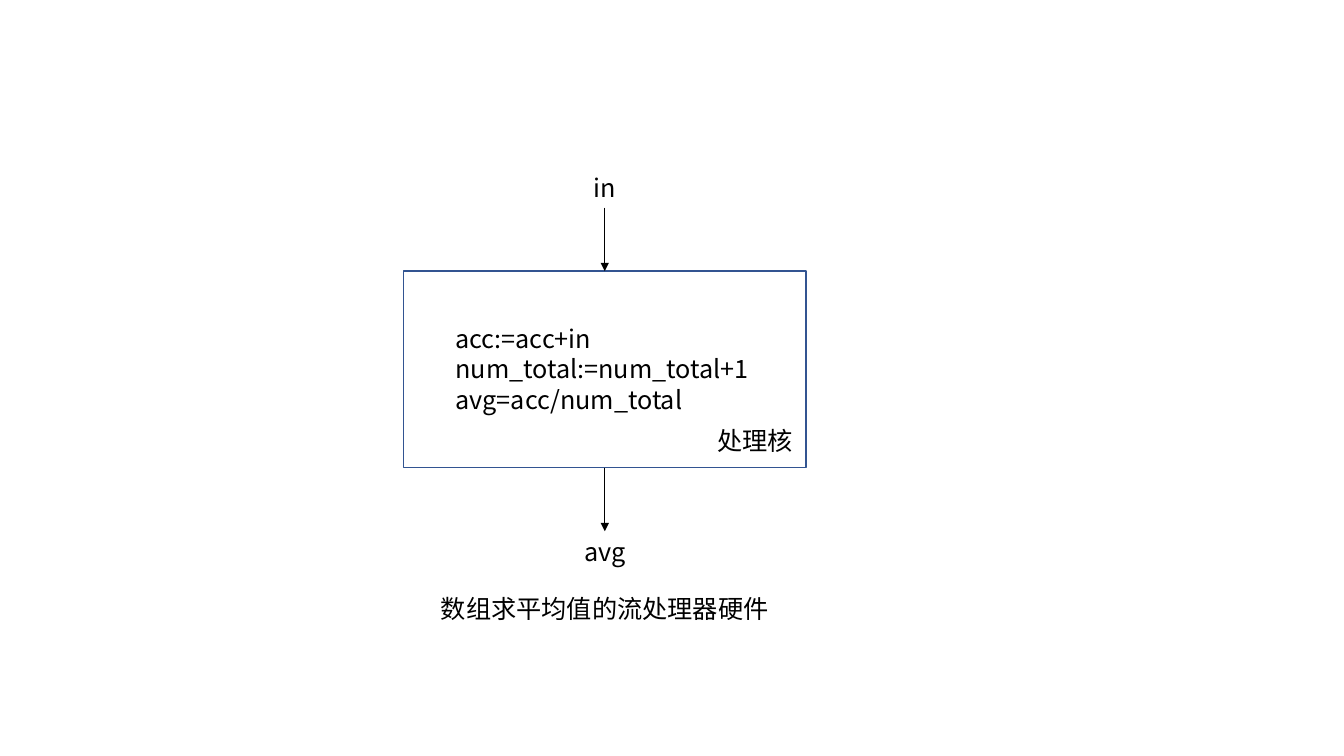
from lxml import etree
from pptx import Presentation
from pptx import util as u
from pptx.dml.color import RGBColor
from pptx.enum import shapes, text
from pptx.oxml.ns import qn

CODE = ["acc:=acc+in", "num_total:=num_total+1", "avg=acc/num_total"]
INPUT, OUTPUT = "in", "avg"
CORE_NAME = "处理核"
CAPTION = "数组求平均值的流处理器硬件"

FONT = "Noto Sans CJK SC"
BLACK = RGBColor(0x00, 0x00, 0x00)
WHITE = RGBColor(0xFF, 0xFF, 0xFF)
BLUE = RGBColor(0x32, 0x54, 0x91)

# Lengths in inches; everything is centred on the data flow axis.
PAGE_WIDTH, PAGE_HEIGHT = 13.33, 7.5
AXIS = 0.45 * PAGE_WIDTH
CORE_TOP, CORE_WIDTH, CORE_HEIGHT = 2.69, 3.99, 1.95
CORE_BOTTOM = CORE_TOP + CORE_HEIGHT
CORE_RIGHT = AXIS + CORE_WIDTH / 2
ARROW = 0.63
LINE = 0.4
CODE_HEIGHT, CODE_WIDTH = 1.01, 3.16
NAME_WIDTH = 0.98


def inches(*lengths):
    return [u.Inches(length) for length in lengths]


def add_label(page, lines, center, top, width, height=LINE,
              align=text.PP_ALIGN.CENTER):
    box = page.shapes.add_textbox(*inches(center - width / 2, top, width, height))
    frame = box.text_frame
    frame.word_wrap = True
    frame.text = "\n".join(lines)
    for para in frame.paragraphs:
        para.alignment = align
        para.font.size = u.Pt(18)
        para.font.name = FONT
        para.font.color.rgb = BLACK
        defaults = para._p.pPr.find(qn("a:defRPr"))
        east_asian = etree.Element(qn("a:ea"), typeface=FONT)
        defaults.find(qn("a:latin")).addnext(east_asian)


def add_down_arrow(page, top):
    arrow = page.shapes.add_connector(
        shapes.MSO_CONNECTOR.STRAIGHT, *inches(AXIS, top, AXIS, top + ARROW))
    arrow.line.color.rgb = BLACK
    arrow.line.width = u.Pt(0.5)
    properties = arrow._element.spPr
    etree.SubElement(properties.find(qn("a:ln")), qn("a:tailEnd"), type="triangle")
    etree.SubElement(properties, qn("a:effectLst"))


def add_core(page):
    core = page.shapes.add_shape(
        shapes.MSO_SHAPE.RECTANGLE,
        *inches(AXIS - CORE_WIDTH / 2, CORE_TOP, CORE_WIDTH, CORE_HEIGHT))
    core.shadow.inherit = False
    core.fill.solid()
    core.fill.fore_color.rgb = WHITE
    core.line.color.rgb = BLUE
    core.line.width = u.Pt(1)


def main():
    deck = Presentation()
    deck.slide_width, deck.slide_height = inches(PAGE_WIDTH, PAGE_HEIGHT)
    page = deck.slides.add_slide(deck.slide_layouts[6])

    add_core(page)
    add_label(page, CODE, AXIS, CORE_TOP + (CORE_HEIGHT - CODE_HEIGHT) / 2,
              CODE_WIDTH, CODE_HEIGHT, text.PP_ALIGN.LEFT)
    add_label(page, [CORE_NAME], CORE_RIGHT - NAME_WIDTH / 2,
              CORE_BOTTOM - LINE - 0.07, NAME_WIDTH, align=text.PP_ALIGN.LEFT)

    for top in (CORE_TOP - ARROW, CORE_BOTTOM):
        add_down_arrow(page, top)
    add_label(page, [INPUT], AXIS, CORE_TOP - ARROW - LINE, 0.51)
    add_label(page, [OUTPUT], AXIS, CORE_BOTTOM + ARROW, 0.65)
    add_label(page, [CAPTION], AXIS, CORE_BOTTOM + 1.2, 5.81)

    deck.save("out.pptx")


if __name__ == "__main__":
    main()
